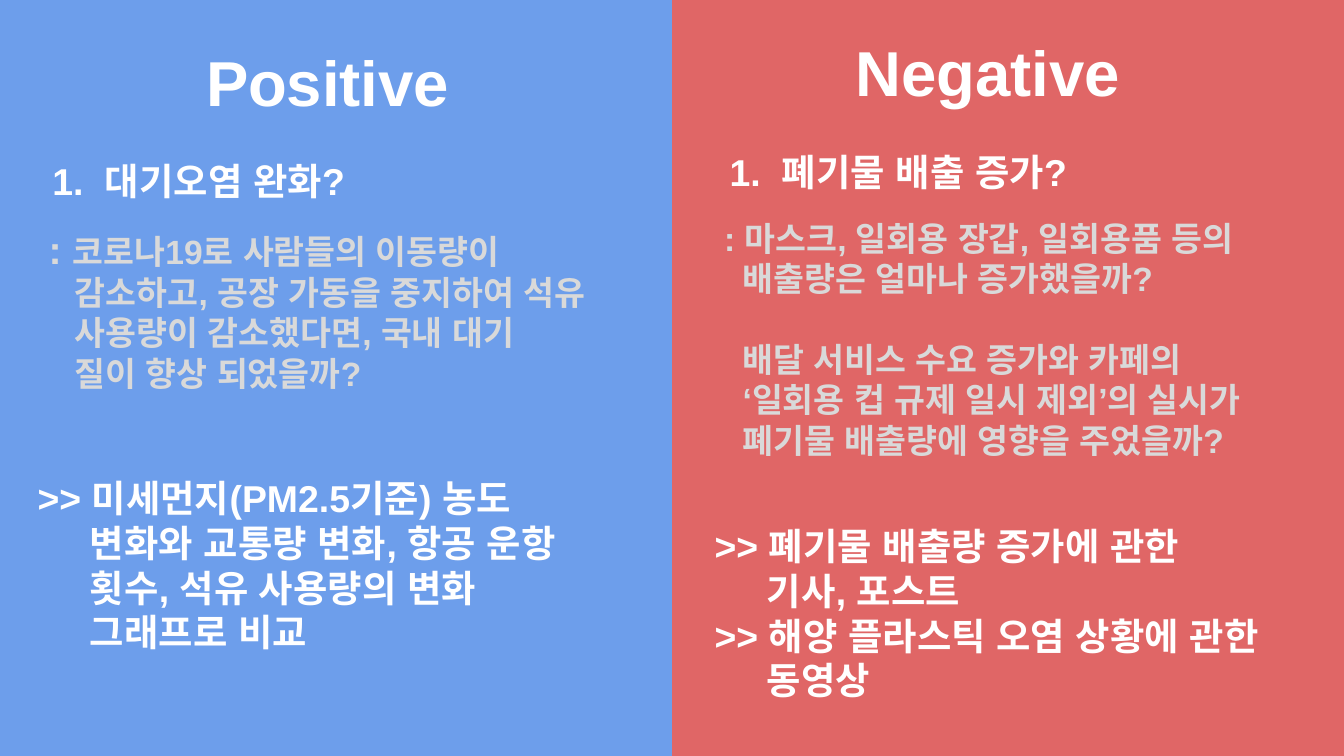
from dataclasses import dataclass

from lxml.etree import SubElement
from pptx import Presentation
from pptx.dml.color import RGBColor
from pptx.enum.shapes import MSO_SHAPE as Shape
from pptx.enum.text import PP_ALIGN as Align
from pptx.oxml.ns import qn
from pptx.util import Pt


@dataclass(frozen=True)
class Theme:
    font: str = "Arial"
    blue: str = "6D9EEB"
    red: str = "E06666"
    white: str = "FFFFFF"
    grey: str = "D9D9D9"
    title: int = 34
    heading: int = 20
    colon: int = 21
    detail: int = 18


@dataclass(frozen=True)
class Line:
    text: str
    role: str  # "heading", "detail" or "evidence"
    left: float = 0
    before: float = 0
    lead: str = ""


THEME = Theme()
WIDTH, HEIGHT = 720, 405
INSET = 7.2
NUMBER_LEFT, NUMBER_HANG = 36, 28

POSITIVE = [
    Line("대기오염 완화?", "heading"),
    Line("코로나19로 사람들의 이동량이", "detail", 6, 12, lead=": "),
    Line("감소하고, 공장 가동을 중지하여 석유", "detail", 20),
    Line("사용량이 감소했다면, 국내 대기", "detail", 20),
    Line("질이 향상 되었을까?", "detail", 20),
    Line(">> 미세먼지(PM2.5기준) 농도", "evidence", 0, 44),
    Line("변화와 교통량 변화, 항공 운항", "evidence", 28),
    Line("횟수, 석유 사용량의 변화", "evidence", 28),
    Line("그래프로 비교", "evidence", 28),
]
NEGATIVE = [
    Line("폐기물 배출 증가?", "heading"),
    Line(": 마스크, 일회용 장갑, 일회용품 등의", "detail", 5, 13),
    Line("배출량은 얼마나 증가했을까?", "detail", 15),
    Line("배달 서비스 수요 증가와 카페의", "detail", 15, 21.5),
    Line("‘일회용 컵 규제 일시 제외’의 실시가", "detail", 15),
    Line("폐기물 배출량에 영향을 주었을까?", "detail", 15),
    Line(">> 폐기물 배출량 증가에 관한", "evidence", 0, 34),
    Line("기사, 포스트", "evidence", 28),
    Line(">> 해양 플라스틱 오염 상황에 관한", "evidence"),
    Line("동영상", "evidence", 28),
]


def add_run(paragraph, text, size, color):
    run = paragraph.add_run()
    run.text = text
    run.font.size = Pt(size)
    run.font.bold = True
    run.font.color.rgb = RGBColor.from_string(color)
    run.font.name = THEME.font
    # Korean text uses the East Asian typeface slot
    properties = run._r.get_or_add_rPr()
    SubElement(properties, qn("a:ea")).set("typeface", THEME.font)


def add_text_box(slide, left, top, width, height, inset_top=INSET):
    box = slide.shapes.add_textbox(Pt(left), Pt(top), Pt(width), Pt(height))
    frame = box.text_frame
    frame.word_wrap = True
    frame.margin_left = frame.margin_right = frame.margin_bottom = Pt(INSET)
    frame.margin_top = Pt(inset_top)
    return frame


def set_indent(paragraph, line):
    properties = paragraph._p.get_or_add_pPr()
    if line.role != "heading":
        properties.set("marL", str(Pt(line.left)))
        properties.set("indent", "0")
        return
    properties.set("marL", str(Pt(NUMBER_LEFT)))
    properties.set("indent", str(-Pt(NUMBER_HANG)))
    bullet_color = SubElement(properties, qn("a:buClr"))
    SubElement(bullet_color, qn("a:srgbClr")).set("val", THEME.white)
    SubElement(properties, qn("a:buAutoNum")).set("type", "arabicPeriod")


def add_lines(frame, lines):
    for index, line in enumerate(lines):
        paragraph = frame.add_paragraph() if index else frame.paragraphs[0]
        if line.before:
            paragraph.space_before = Pt(line.before)
        set_indent(paragraph, line)
        is_detail = line.role == "detail"
        color = THEME.grey if is_detail else THEME.white
        if line.lead:
            add_run(paragraph, line.lead, THEME.colon, color)
        add_run(paragraph, line.text, THEME.detail if is_detail else THEME.heading, color)


def add_panel(slide, left, color, title, title_at, body_at, inset_top, lines):
    """One half of the slide; title and body are placed relative to its left edge."""
    # Background
    panel = slide.shapes.add_shape(Shape.RECTANGLE, Pt(left), Pt(0), Pt(WIDTH / 2), Pt(HEIGHT))
    panel.shadow.inherit = False
    panel.fill.solid()
    panel.fill.fore_color.rgb = RGBColor.from_string(color)
    panel.line.fill.background()

    # Title
    title_left, title_top = title_at
    paragraph = add_text_box(slide, left + title_left, title_top, 295, 50.4).paragraphs[0]
    paragraph.alignment = Align.CENTER
    add_run(paragraph, title, THEME.title, THEME.white)

    # Question, details and evidence
    body_left, body_top, body_height = body_at
    frame = add_text_box(slide, left + body_left, body_top, 342, body_height, inset_top)
    add_lines(frame, lines)


def main():
    presentation = Presentation()
    presentation.slide_width, presentation.slide_height = Pt(WIDTH), Pt(HEIGHT)
    slide = presentation.slides.add_slide(presentation.slide_layouts[6])
    add_panel(slide, WIDTH / 2, THEME.red, "Negative", (21.6, 10.8), (15.8, 55.4, 339), 24.4, NEGATIVE)
    add_panel(slide, 0, THEME.blue, "Positive", (28, 15.8), (13, 61.2, 332.6), 23.3, POSITIVE)
    presentation.save("out.pptx")


if __name__ == "__main__":
    main()
